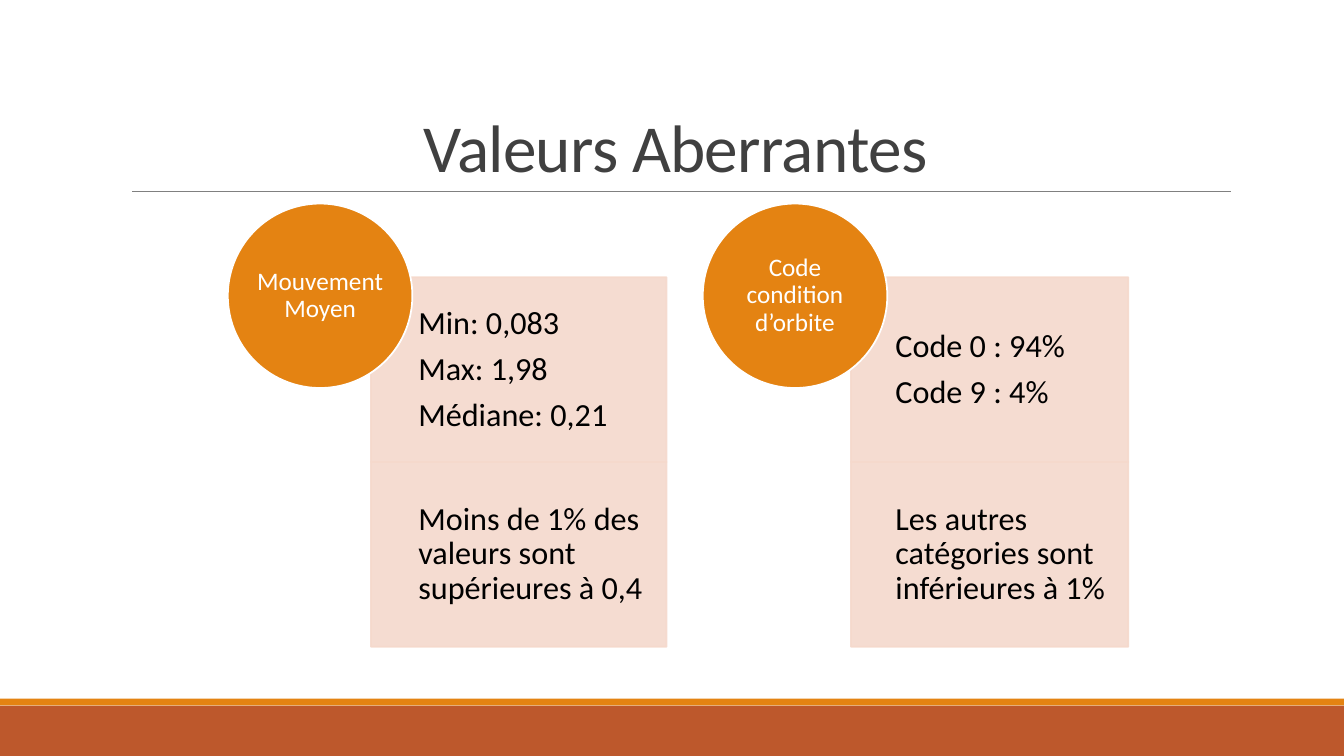
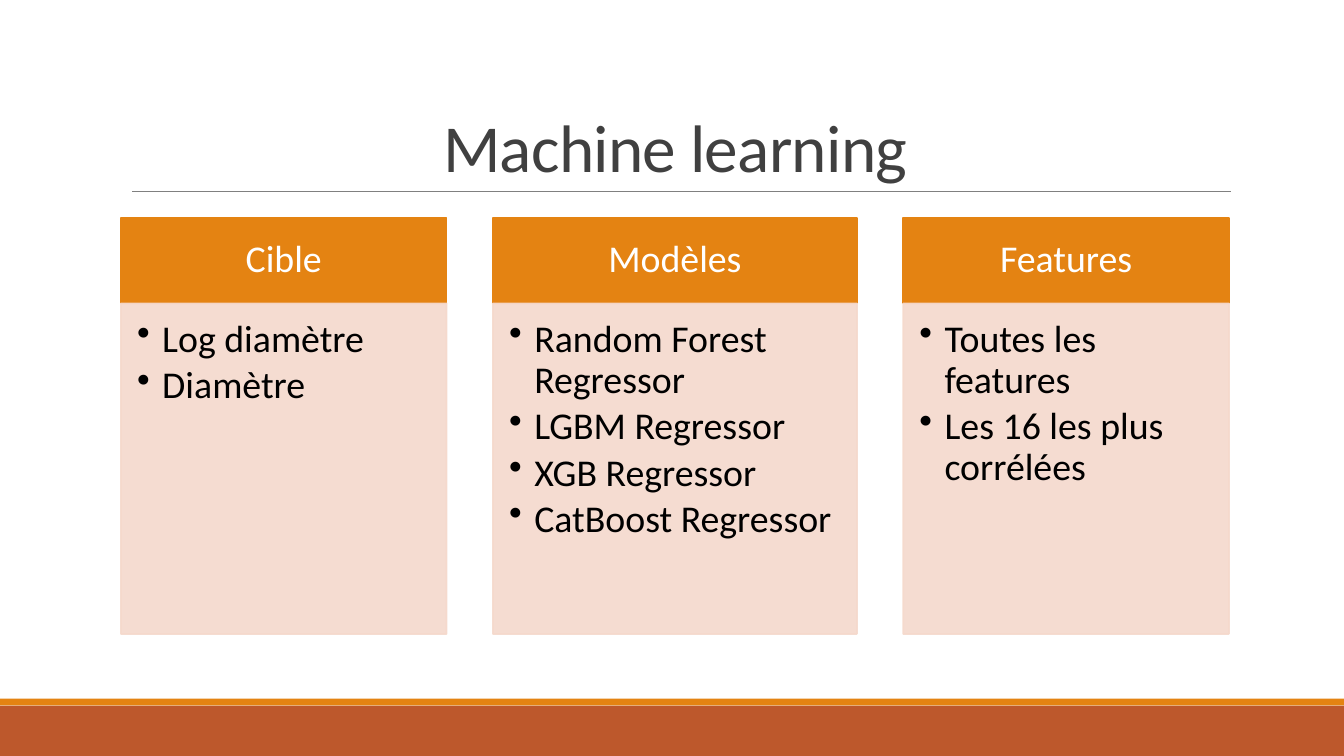
"""Build two slides on outliers and machine learning."""
import pptx
import pptx.dml.color
import pptx.enum.shapes
import pptx.enum.text
import pptx.oxml.ns
import pptx.util
from lxml import etree

Pt, Inches = pptx.util.Pt, pptx.util.Inches
SHAPE = pptx.enum.shapes.MSO_SHAPE
ALIGN = pptx.enum.text.PP_ALIGN
ANCHOR = pptx.enum.text.MSO_ANCHOR
qn = pptx.oxml.ns.qn

WIDE, HIGH = 13.33, 7.5
FONT = "Calibri"
HUES = {"rust": "BD582C", "gold": "E48312", "pale": "F5D9CC", "rule": "808080",
        "title": "404040", "dark": "000000", "white": "FFFFFF"}
TOP, ROW = 36.67, 24.45
EDGE, GAP = 9, 3.45
HEAD_Y, HEAD_H, BODY_H = 28.8, 11.33, 43.73

TOPICS = [
    ("Mouvement Moyen", 16.95, 27.61, 21.98,
     [["Min: 0,083", "Max: 1,98", "Médiane: 0,21"],
      ["Moins de 1% des valeurs sont supérieures à 0,4"]]),
    ("Code condition d’orbite", 52.29, 63.32, 20.63,
     [["Code 0 : 94%", "Code 9 : 4%"],
      ["Les autres catégories sont inférieures à 1%"]]),
]
LISTS = [
    ("Cible", 24.23, ["Log diamètre", "Diamètre"]),
    ("Modèles", 27.08, ["Random Forest Regressor", "LGBM Regressor",
                        "XGB Regressor", "CatBoost Regressor"]),
    ("Features", 24.23, ["Toutes les features", "Les 16 les plus corrélées"]),
]


def hue(name):
    return pptx.dml.color.RGBColor.from_string(HUES[name])


def across(share):
    return Inches(WIDE * share / 100)


def down(share):
    return Inches(HIGH * share / 100)


def place(x, y, w, h):
    return across(x), down(y), across(w), down(h)


def block(slide, area, fill, line=None, kind=SHAPE.RECTANGLE, clear=False):
    shape = slide.shapes.add_shape(kind, *place(*area))
    shape.shadow.inherit = False
    shape.fill.solid()
    shape.fill.fore_color.rgb = hue(fill)
    if line:
        shape.line.color.rgb = hue(line)
        shape.line.width = Pt(1.25)
    else:
        shape.line.fill.background()
    if clear:
        for tint in shape._element.spPr.iter(qn("a:srgbClr")):
            etree.SubElement(tint, qn("a:alpha"), val="90000")
    return shape


def write(shape, lines, size, color, pad=(0, 0, 0, 0), align=ALIGN.CENTER,
          anchor=ANCHOR.MIDDLE, lead=0.9, after=0.35, dots=False, track=0):
    frame = shape.text_frame
    frame.word_wrap = True
    frame.vertical_anchor = anchor
    (frame.margin_left, frame.margin_top,
     frame.margin_right, frame.margin_bottom) = map(Inches, pad)
    for i, line in enumerate(lines):
        para = frame.add_paragraph() if i else frame.paragraphs[0]
        para.alignment = align
        para.line_spacing = lead
        para.space_after = Pt(round(size * after, 1))
        if dots:
            mark(para)
        run = para.add_run()
        run.text = line
        run.font.name = FONT
        run.font.size = Pt(size)
        run.font.color.rgb = hue(color)
        if track:
            run._r.get_or_add_rPr().set("spc", str(track))


def mark(para):
    props = para._p.get_or_add_pPr()
    props.set("marL", str(Inches(0.25)))
    props.set("indent", str(Inches(-0.25)))
    etree.SubElement(props, qn("a:buChar"), char="•")


def start(deck, title):
    slide = deck.slides.add_slide(deck.slide_layouts[6])
    block(slide, (0, 93.33, 100, 6.67), "rust")
    block(slide, (0, 92.4, 100, 0.9), "gold")
    rule = slide.shapes.add_connector(
        pptx.enum.shapes.MSO_CONNECTOR.STRAIGHT,
        across(9.83), down(25.33), across(91.6), down(25.33))
    rule.line.color.rgb = hue("rule")
    rule.line.width = Pt(0.5)
    etree.SubElement(rule._element.spPr, qn("a:effectLst"))
    box = slide.shapes.add_textbox(*place(EDGE, 4.13, 82.5, 21.2))
    write(box, [title], 48, "title", (0.1, 0.05, 0.1, 0.05),
          anchor=ANCHOR.BOTTOM, lead=0.85, after=0, track=-50)
    return slide


def topic(slide, name, disc_x, x, wide, cells):
    for i, lines in enumerate(cells):
        card = block(slide, (x, TOP + i * ROW, wide, ROW), "pale", "pale", clear=True)
        inset = WIDE * wide / 100 * 0.16
        write(card, lines, 23, "dark", (inset, 0.18, 0.18, 0.18), ALIGN.LEFT)
    disc = block(slide, (disc_x, 26.93, 13.73, 24.4), "gold", "white", SHAPE.OVAL)
    write(disc, [name], 18, "white")


def column(slide, x, wide, name, items):
    head = block(slide, (x, HEAD_Y, wide, HEAD_H), "gold", "gold")
    write(head, [name], 27, "white", (0.21, 0.12, 0.21, 0.12))
    body = block(slide, (x, HEAD_Y + HEAD_H, wide, BODY_H), "pale", "pale", clear=True)
    write(body, items, 27, "dark", (0.16, 0.16, 0.21, 0.24), ALIGN.LEFT,
          ANCHOR.TOP, after=0.15, dots=True)


def main():
    deck = pptx.Presentation()
    deck.slide_width, deck.slide_height = Inches(WIDE), Inches(HIGH)
    slide = start(deck, "Valeurs Aberrantes")
    for item in TOPICS:
        topic(slide, *item)
    slide = start(deck, "Machine learning")
    x = EDGE
    for name, wide, items in LISTS:
        column(slide, x, wide, name, items)
        x += wide + GAP
    deck.save("out.pptx")


if __name__ == "__main__":
    main()
